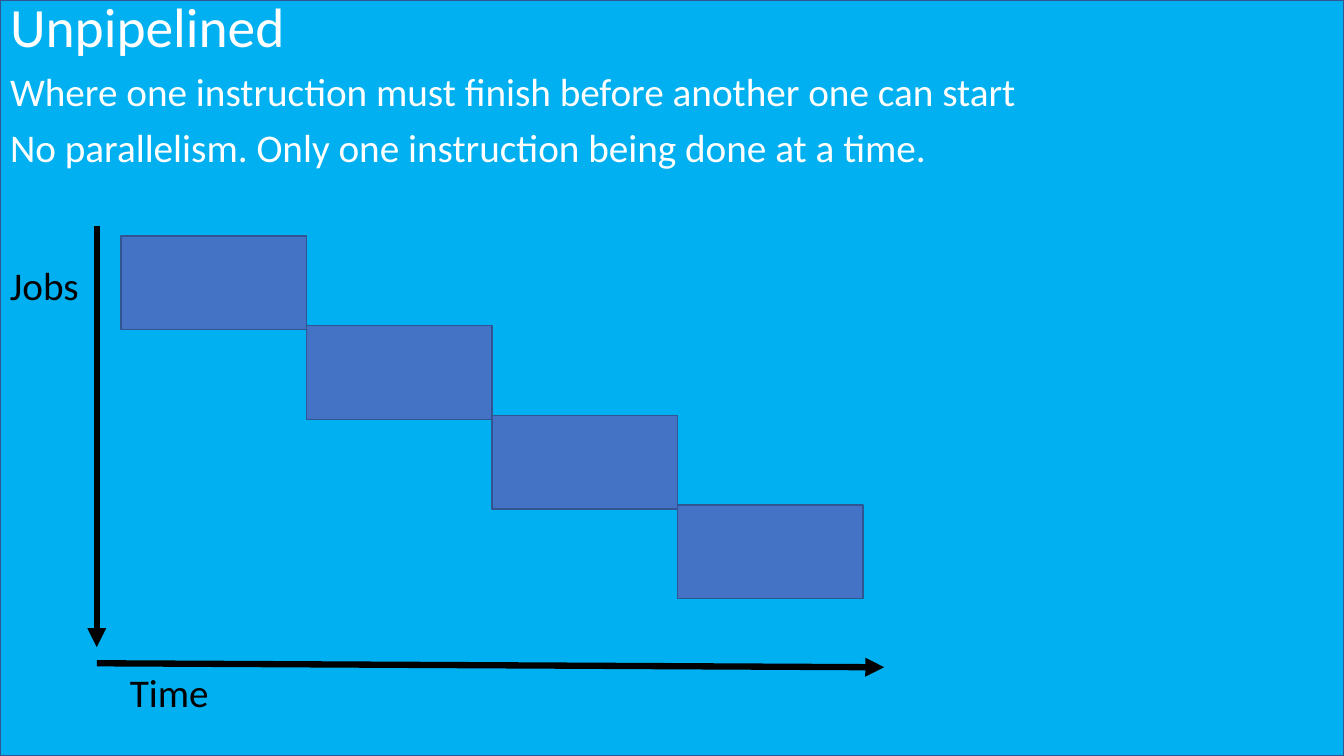
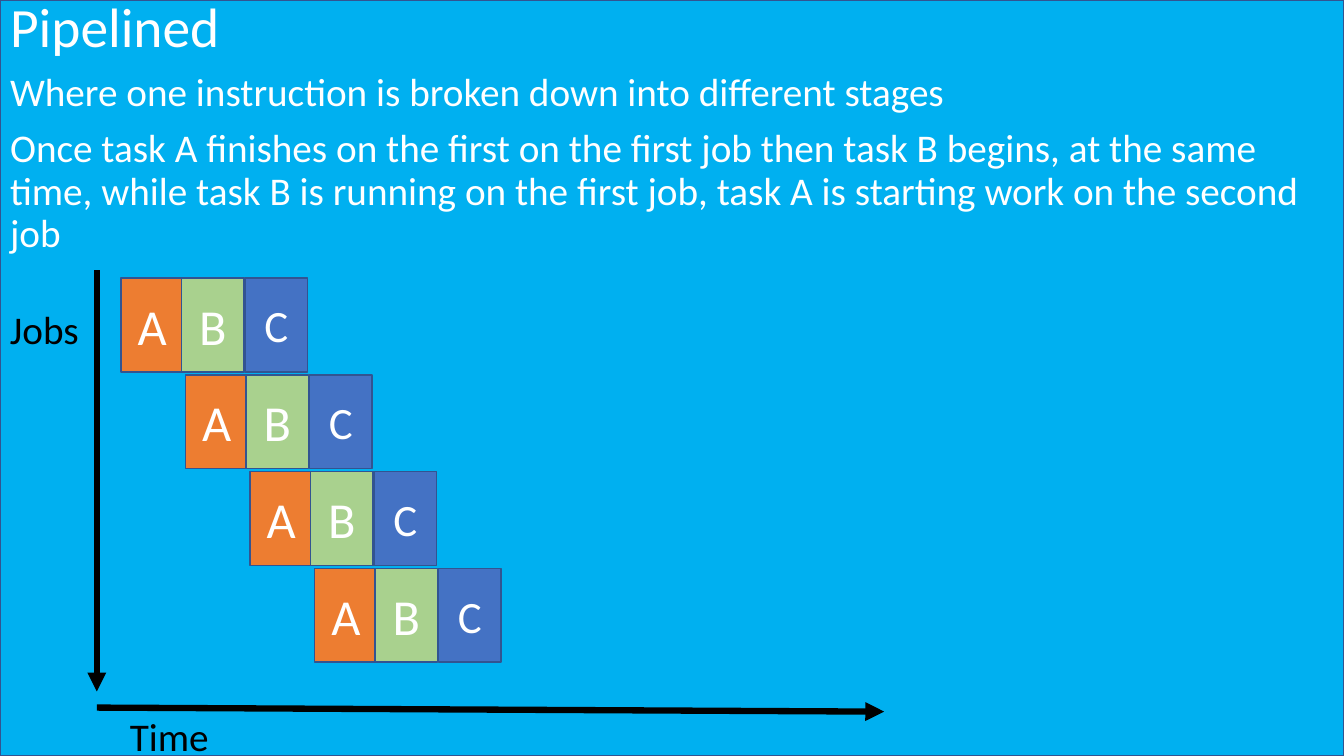
from lxml import etree
from pptx import Presentation
from pptx import util as u
from pptx.dml.color import RGBColor
from pptx.enum import shapes, text
from pptx.oxml.ns import qn

SKY = RGBColor(0x00, 0xB0, 0xF0)
EDGE = RGBColor(0x32, 0x54, 0x91)
BLUE = RGBColor(0x44, 0x72, 0xC4)
ORANGE = RGBColor(0xED, 0x7D, 0x31)
GREEN = RGBColor(0xA9, 0xD1, 0x8E)
WHITE = RGBColor(0xFF, 0xFF, 0xFF)
BLACK = RGBColor(0x00, 0x00, 0x00)
FONT = "Calibri"
LEFT, MID = text.PP_ALIGN.LEFT, text.PP_ALIGN.CENTER
TOP, CORE = text.MSO_ANCHOR.TOP, text.MSO_ANCHOR.MIDDLE

# Grid, in inches: a job box, and where the axes and the first job begin
WIDE, HIGH = 1.84, 0.93
AXIS, START = 0.96, 1.2


def write(frame, lines, size=28, color=WHITE, align=LEFT, anchor=TOP, lead=1.0, gap=0):
    """Fill a text frame with plain, unbulleted paragraphs."""
    frame.word_wrap = True
    frame.auto_size = text.MSO_AUTO_SIZE.NONE
    frame.vertical_anchor = anchor
    for i, line in enumerate(lines):
        para = frame.paragraphs[0] if i == 0 else frame.add_paragraph()
        para.text = line
        props = para._p.get_or_add_pPr()
        props.set("marL", "0")
        props.set("indent", "0")
        etree.SubElement(props, qn("a:buNone"))
        para.alignment = align
        para.line_spacing = lead
        para.space_before = u.Pt(gap if i else 0)
        font = para.font
        font.name, font.size, font.color.rgb = FONT, u.Pt(size), color


def box(slide, x, y, w, h, fill):
    rect = slide.shapes.add_shape(shapes.MSO_SHAPE.RECTANGLE, x, y, w, h)
    rect.shadow.inherit = False
    rect.fill.solid()
    rect.fill.fore_color.rgb = fill
    rect.line.color.rgb = EDGE
    rect.line.width = u.Pt(1)
    return rect


# Each job is a row of stages: offset, width, fill, letter, letter size
WHOLE = [(0, WIDE, BLUE, "", 0)]
SPLIT = [(0, 0.62, ORANGE, "A", 36), (0.6, 0.62, GREEN, "B", 36), (1.23, 0.62, BLUE, "C", 32)]
JOBS = 4

# base is the height of the time axis; step is the move from job to job
PAGES = [
    dict(title="Unpipelined",
         body=["Where one instruction must finish before another one can start",
               "No parallelism. Only one instruction being done at a time."],
         base=6.58, first=2.34, step=(WIDE, 0.89), stages=WHOLE),
    dict(title="Pipelined",
         body=["Where one instruction is broken down into different stages",
               "Once task A finishes on the first on the first job then task B begins, "
               "at the same time, while task B is running on the first job, task A is "
               "starting work on the second job"],
         base=7.02, first=2.76, step=(0.64, 0.96), stages=SPLIT),
]

deck = Presentation()
deck.slide_width, deck.slide_height = u.Inches(13.33), u.Inches(7.5)
W, H = deck.slide_width, deck.slide_height

# Shared title and body places
layout = deck.slide_layouts[1]
for holder, top, high in zip(layout.placeholders, (0, 0.67), (0.58, 6.83)):
    holder.left, holder.top = 0, u.Inches(top)
    holder.width, holder.height = W, u.Inches(high)

for num, page in enumerate(PAGES):
    slide = deck.slides.add_slide(layout)
    if num == 0:
        # The sky panel lives on the master, behind everything
        panel = box(slide, 0, 0, W, H, SKY).element
        panel.nvSpPr.cNvPr.set("id", "20")
        deck.slide_master.placeholders[0].element.addprevious(panel)

    write(slide.shapes.title.text_frame, [page["title"]], size=39.6, anchor=CORE, lead=0.9)
    write(slide.placeholders[1].text_frame, page["body"], lead=0.9, gap=10)

    # Axes and their names
    base = page["base"]
    axes = slide.shapes.add_group_shape()
    for ends in [(AXIS, base - 4.34, AXIS, base - 0.16), (AXIS, base, 8.77, base + 0.04)]:
        line = axes.shapes.add_connector(shapes.MSO_CONNECTOR.STRAIGHT, *map(u.Inches, ends))
        line.line.color.rgb = BLACK
        line.line.width = u.Pt(4.5)
        props = line.element.spPr
        etree.SubElement(props.find(qn("a:ln")), qn("a:tailEnd"), type="triangle")
        etree.SubElement(props, qn("a:effectLst"))
    for name, x, y in [("Jobs", 0, base - 4.04), ("Time", 1.19, base)]:
        label = axes.shapes.add_textbox(*map(u.Inches, (x, y, 1.82, 0.48)))
        write(label.text_frame, [name], color=BLACK)

    # Staircase of jobs
    right, down = page["step"]
    for job in range(JOBS):
        for shift, wide, fill, letter, size in page["stages"]:
            x, y = START + job * right + shift, page["first"] + job * down
            stage = box(slide, *map(u.Inches, (x, y, wide, HIGH)), fill)
            if letter:
                write(stage.text_frame, [letter], size=size, align=MID, anchor=CORE)

deck.save("out.pptx")
